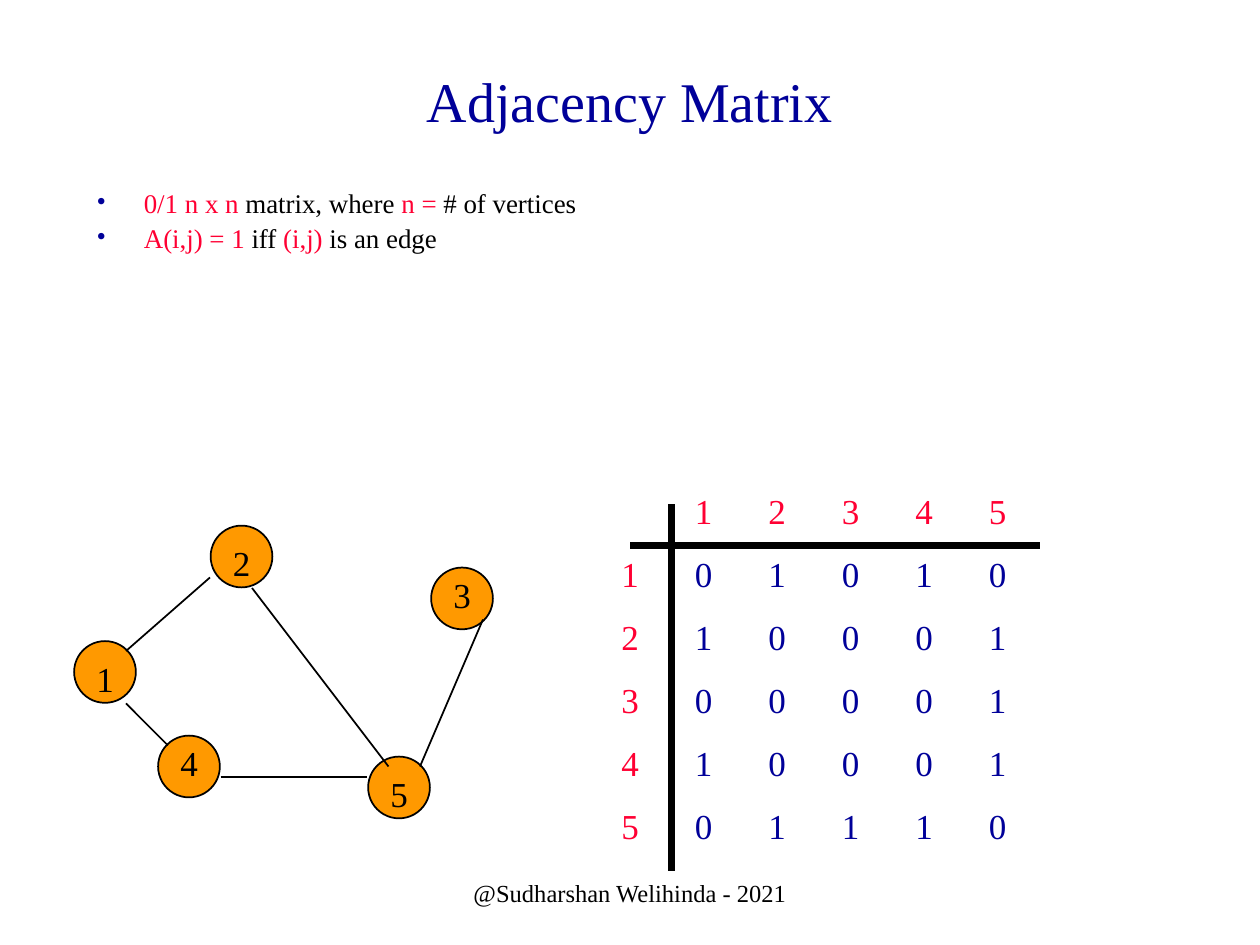
import lxml.etree
import pptx
import pptx.dml.color
import pptx.enum.shapes
import pptx.enum.text
import pptx.oxml.ns
import pptx.util

Pt = pptx.util.Pt
ALIGN = pptx.enum.text.PP_ALIGN
ANCHOR = pptx.enum.text.MSO_ANCHOR
AUTO_SIZE = pptx.enum.text.MSO_AUTO_SIZE

COLORS = {"navy": "000099", "red": "FF0033", "orange": "FF9900", "black": "000000"}
FONT = "Times New Roman"
LABEL_SIZE = 20
LABEL_HEIGHT = 31

BULLETS = [
    [("0/1 n x n ", "red"), ("matrix, where ", "black"),
     ("n = ", "red"), ("# of vertices", "black")],
    [("A(i,j) = 1", "red"), (" iff ", "black"),
     ("(i,j)", "red"), (" is an edge", "black")],
]

# Node name: left and top of its cell in the graph, and drop of its label
NODES = {"1": (0, 66, 6), "2": (78, 0, 6), "3": (204, 24, 0),
         "4": (48, 120, 0), "5": (168, 132, 6)}
EDGES = [(78, 30, 30, 72), (102, 36, 180, 138), (30, 102, 54, 126),
         (234, 54, 198, 138), (84, 144, 168, 144)]

MATRIX = ["01010", "10001", "00001", "10001", "01110"]


def rgb(color):
    return pptx.dml.color.RGBColor.from_string(COLORS[color])


def set_values(target, values):
    for name, value in values.items():
        setattr(target, name, value)


def add_run(paragraph, text, size, color):
    run = paragraph.add_run()
    run.text = text
    set_values(run.font, {"name": FONT, "size": Pt(size)})
    run.font.color.rgb = rgb(color)


def place(shape, box):
    set_values(shape, dict(zip(("left", "top", "width", "height"), map(Pt, box))))


def add_label(shapes, text, left, top, width, color):
    label = shapes.add_textbox(Pt(left), Pt(top), Pt(width), Pt(LABEL_HEIGHT))
    set_values(label.text_frame, {"word_wrap": True,
                                  "auto_size": AUTO_SIZE.SHAPE_TO_FIT_TEXT})
    add_run(label.text_frame.paragraphs[0], text, LABEL_SIZE, color)


def add_line(shapes, left, top, ends, width):
    x1, y1, x2, y2 = ends
    line = shapes.add_connector(pptx.enum.shapes.MSO_CONNECTOR.STRAIGHT,
                                Pt(left + x1), Pt(top + y1), Pt(left + x2), Pt(top + y2))
    line.line.width = Pt(width)
    line.line.color.rgb = rgb("black")
    lxml.etree.SubElement(line._element.spPr, pptx.oxml.ns.qn("a:effectLst"))


def fill_title(title, box):
    place(title, box)
    set_values(title.text_frame, {"vertical_anchor": ANCHOR.MIDDLE,
                                  "auto_size": AUTO_SIZE.NONE})
    paragraph = title.text_frame.paragraphs[0]
    paragraph.alignment = ALIGN.CENTER
    add_run(paragraph, "Adjacency Matrix", 32, "navy")


def add_bullet(paragraph):
    properties = paragraph._p.get_or_add_pPr()
    properties.set("marL", str(Pt(27)))
    properties.set("indent", str(-Pt(27)))
    qn = pptx.oxml.ns.qn
    bullet_color = lxml.etree.SubElement(properties, qn("a:buClr"))
    lxml.etree.SubElement(bullet_color, qn("a:srgbClr"), val=COLORS["navy"])
    lxml.etree.SubElement(properties, qn("a:buFont"), typeface=FONT)
    lxml.etree.SubElement(properties, qn("a:buChar"), char="•")


def fill_list(body, box):
    place(body, box)
    frame = body.text_frame
    set_values(frame, {"vertical_anchor": ANCHOR.TOP, "auto_size": AUTO_SIZE.NONE})
    for index, parts in enumerate(BULLETS):
        paragraph = frame.add_paragraph() if index else frame.paragraphs[0]
        add_bullet(paragraph)
        set_values(paragraph, {"line_spacing": 0.7,
                               "space_before": Pt(7 if index else 0)})
        for text, color in parts:
            add_run(paragraph, text, 15.4, color)


def add_graph(slide, left, top):
    shapes = slide.shapes.add_group_shape().shapes
    # Circles sit just inside 36-point cells
    inset, diameter = 0.35, 35.3
    for x, y, _ in NODES.values():
        circle = shapes.add_shape(pptx.enum.shapes.MSO_SHAPE.OVAL,
                                  Pt(left + x + inset), Pt(top + y + inset),
                                  Pt(diameter), Pt(diameter))
        circle.shadow.inherit = False
        circle.fill.solid()
        circle.fill.fore_color.rgb = rgb("orange")
        circle.line.width = Pt(1)
        circle.line.color.rgb = rgb("black")
    for ends in EDGES:
        add_line(shapes, left, top, ends, 1)
    for name, (x, y, drop) in NODES.items():
        add_label(shapes, name, left + x + 6, top + y + drop, 18, "black")


def add_matrix(slide, left, top):
    column_step, row_step = 42, 36
    # Headings and rules
    heading_shapes = slide.shapes.add_group_shape().shapes
    for index in range(len(MATRIX)):
        name = str(index + 1)
        add_label(heading_shapes, name, left + (index + 1) * column_step, top, 36, "red")
        add_label(heading_shapes, name, left, top + (index + 1) * row_step, 36, "red")
    add_line(heading_shapes, left, top, (12, 36, 246, 36), 4)
    add_line(heading_shapes, left, top, (36, 12, 36, 222), 4)
    # Entries
    for row, entries in enumerate(MATRIX, 1):
        for column, entry in enumerate(entries, 1):
            add_label(slide.shapes, entry, left + column * column_step,
                      top + row * row_step, 24, "navy")


def add_credit(slide, box):
    credit = slide.shapes.add_textbox(*map(Pt, box))
    set_values(credit.text_frame, {"word_wrap": False, "vertical_anchor": ANCHOR.MIDDLE})
    paragraph = credit.text_frame.paragraphs[0]
    paragraph.alignment = ALIGN.CENTER
    add_run(paragraph, "@Sudharshan Welihinda - 2021", 14, "black")


def main():
    presentation = pptx.Presentation()
    set_values(presentation, {"slide_width": Pt(720), "slide_height": Pt(540)})
    slide = presentation.slides.add_slide(presentation.slide_layouts[1])
    fill_title(slide.shapes.title, (54, 12, 612, 90))
    fill_list(slide.placeholders[1], (48, 108, 612, 42))
    add_graph(slide, 42, 300)
    add_matrix(slide, 348, 276)
    add_credit(slide, (246, 492, 228, 36))
    presentation.save("out.pptx")


if __name__ == "__main__":
    main()
